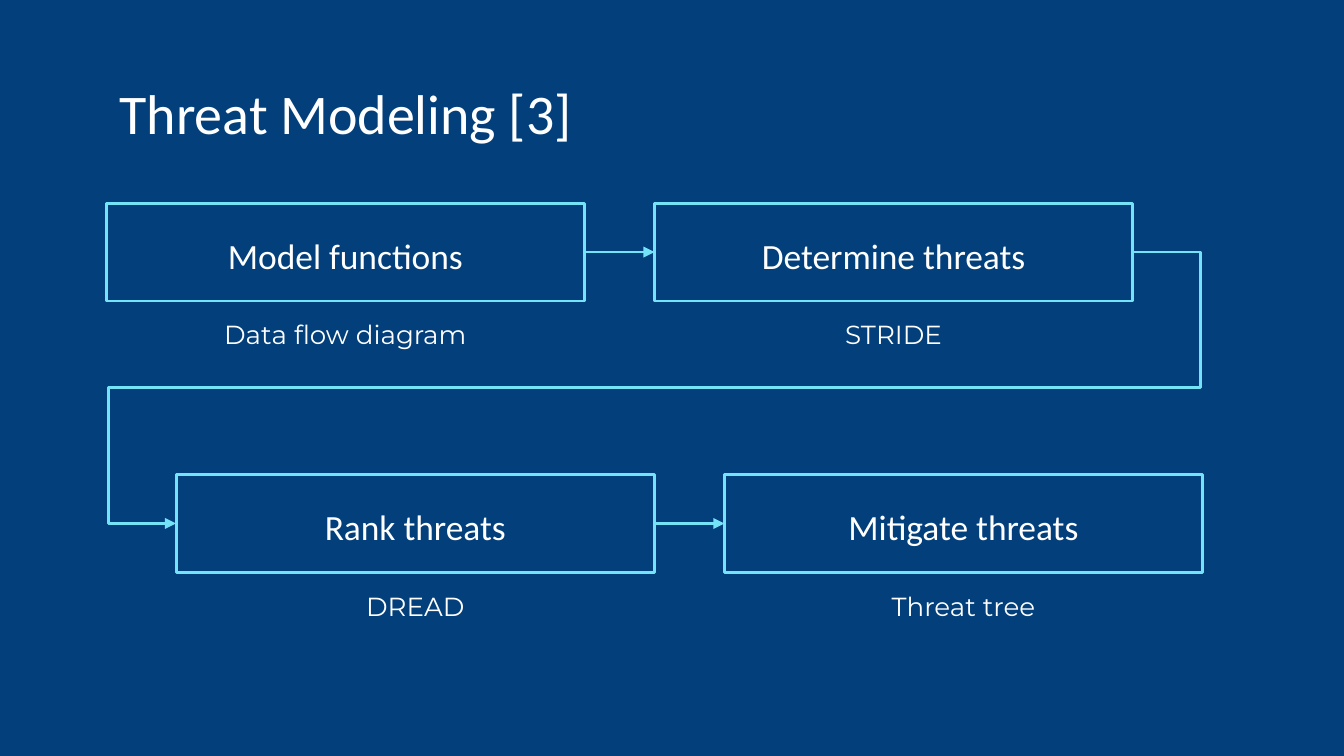
from dataclasses import dataclass

from lxml import etree
from pptx import Presentation
from pptx.dml.color import RGBColor
from pptx.enum.shapes import MSO_CONNECTOR, MSO_SHAPE
from pptx.enum.text import MSO_ANCHOR, PP_ALIGN
from pptx.oxml.ns import qn
from pptx.util import Cm, Pt

RECTANGLE = MSO_SHAPE.RECTANGLE
STRAIGHT, ELBOW = MSO_CONNECTOR.STRAIGHT, MSO_CONNECTOR.ELBOW
LEFT, CENTER = PP_ALIGN.LEFT, PP_ALIGN.CENTER
TOP, MIDDLE = MSO_ANCHOR.TOP, MSO_ANCHOR.MIDDLE
LEFT_SIDE, RIGHT_SIDE = 1, 3


@dataclass(frozen=True)
class Theme:
    background: RGBColor = RGBColor(0x02, 0x3F, 0x7B)
    accent: RGBColor = RGBColor(0x75, 0xE3, 0xF7)
    text: RGBColor = RGBColor(0xFF, 0xFF, 0xFF)
    heading_font: str = "Calibri"
    body_font: str = "Montserrat"
    title_size: int = 30
    step_size: int = 19
    caption_size: int = 14
    line_width: float = 1.5
    inset: float = 0.25


BOX_WIDTH, BOX_HEIGHT, CAPTION_HEIGHT = 9.04, 1.85, 1.75
COLUMN_PITCH = 10.36
MARGIN = 2.01
ROWS = [
    (MARGIN, 3.84, [("Model functions", "Data flow diagram"),
                    ("Determine threats", "STRIDE")]),
    (3.33, 8.97, [("Rank threats", "DREAD"),
                  ("Mitigate threats", "Threat tree")]),
]
# Bend positions of the return arrow, in 1/100000 of its width or height
RETURN_BENDS = [-7100, 50000, 107100]


class SlideBuilder:
    def __init__(self, slide, theme):
        self.slide = slide
        self.theme = theme
        fill = slide.background.fill
        fill.solid()
        fill.fore_color.rgb = theme.background

    def set_text(self, shape, text, font_format, alignment, anchor, spacing):
        frame = shape.text_frame
        inset = Cm(self.theme.inset)
        frame_format = {
            "word_wrap": True, "vertical_anchor": anchor,
            "margin_left": inset, "margin_right": inset,
            "margin_top": inset, "margin_bottom": inset,
        }
        paragraph = frame.paragraphs[0]
        run = paragraph.add_run()
        run.text = text
        run.font.color.rgb = self.theme.text
        for target, values in (
            (frame, frame_format),
            (paragraph, {"alignment": alignment, "line_spacing": spacing}),
            (run.font, font_format),
        ):
            for name, value in values.items():
                setattr(target, name, value)

    def outline(self, shape):
        shape.line.color.rgb = self.theme.accent
        shape.line.width = Pt(self.theme.line_width)

    def title(self, text, left, top, width, height):
        box = self.slide.shapes.add_textbox(Cm(left), Cm(top), Cm(width), Cm(height))
        font_format = {"name": self.theme.heading_font, "size": Pt(self.theme.title_size)}
        self.set_text(box, text, font_format, LEFT, TOP, 1.0)

    def step(self, text, left, top):
        box = self.slide.shapes.add_shape(
            RECTANGLE, Cm(left), Cm(top), Cm(BOX_WIDTH), Cm(BOX_HEIGHT))
        box.shadow.inherit = False
        box.fill.background()
        self.outline(box)
        font_format = {"name": self.theme.heading_font, "size": Pt(self.theme.step_size)}
        self.set_text(box, text, font_format, CENTER, MIDDLE, 1.15)
        return box

    def caption(self, text, left, top):
        box = self.slide.shapes.add_textbox(
            Cm(left), Cm(top), Cm(BOX_WIDTH), Cm(CAPTION_HEIGHT))
        font_format = {"name": self.theme.body_font, "size": Pt(self.theme.caption_size)}
        self.set_text(box, text, font_format, CENTER, TOP, 1.15)

    def arrow(self, source, target, bends=None):
        """Join the right side of source to the left side of target."""
        connector = self.slide.shapes.add_connector(
            ELBOW if bends else STRAIGHT,
            source.left + source.width, source.top + source.height // 2,
            target.left, target.top + target.height // 2)
        connector.begin_connect(source, RIGHT_SIDE)
        connector.end_connect(target, LEFT_SIDE)
        self.outline(connector)
        properties = connector._element.spPr
        etree.SubElement(properties.find(qn("a:ln")), qn("a:tailEnd"), type="triangle")
        etree.SubElement(properties, qn("a:effectLst"))
        if bends:
            geometry = properties.find(qn("a:prstGeom"))
            geometry.set("prst", "bentConnector5")
            adjustments = geometry.find(qn("a:avLst"))
            for number, bend in enumerate(bends, start=1):
                etree.SubElement(adjustments, qn("a:gd"),
                                 name=f"adj{number}", fmla=f"val {bend}")


def main():
    presentation = Presentation()
    presentation.slide_width, presentation.slide_height = Cm(25.4), Cm(14.29)
    slide = presentation.slides.add_slide(presentation.slide_layouts[6])
    builder = SlideBuilder(slide, Theme())

    builder.title("Threat Modeling [3]", MARGIN, 1.24, 21.41, 1.6)

    steps = []
    for row_left, top, entries in ROWS:
        for column, (name, method) in enumerate(entries):
            left = row_left + column * COLUMN_PITCH
            steps.append(builder.step(name, left, top))
            builder.caption(method, left, top + BOX_HEIGHT)

    model, determine, rank, mitigate = steps
    builder.arrow(model, determine)
    builder.arrow(determine, rank, RETURN_BENDS)
    builder.arrow(rank, mitigate)

    presentation.save("out.pptx")


if __name__ == "__main__":
    main()
